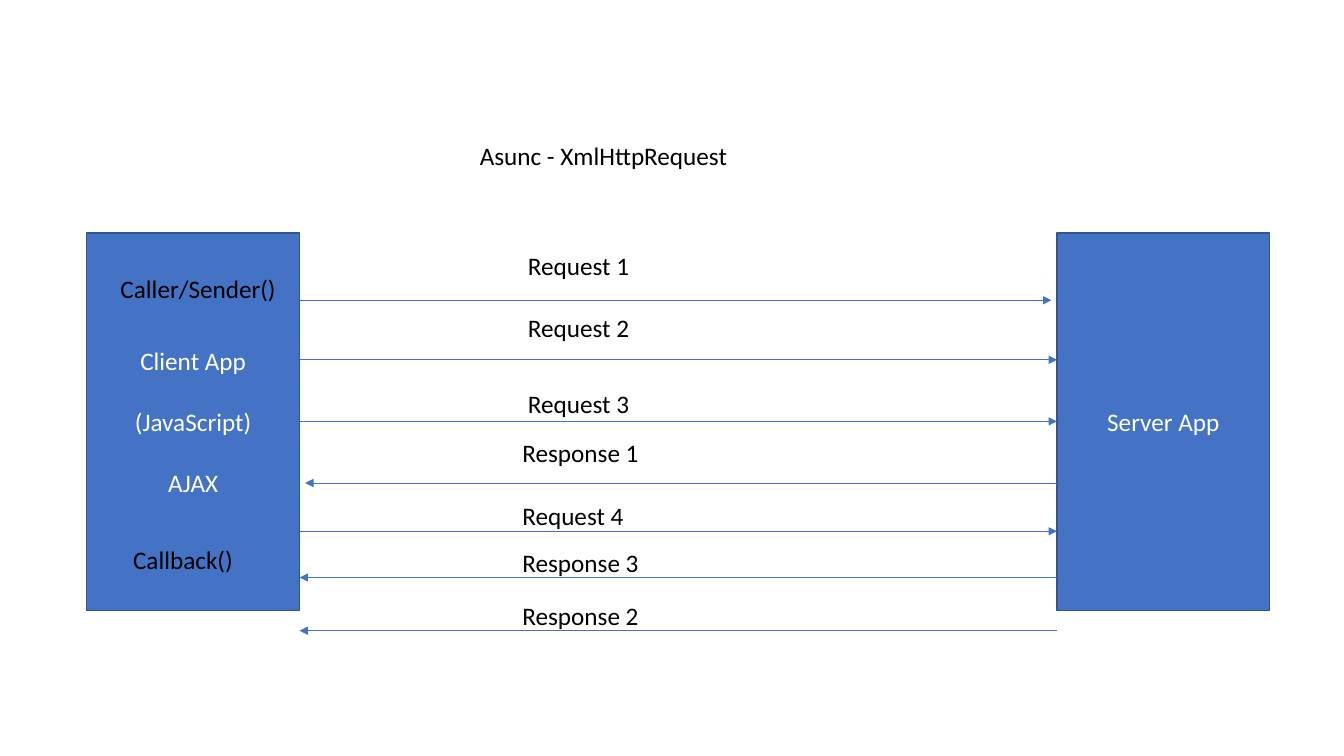
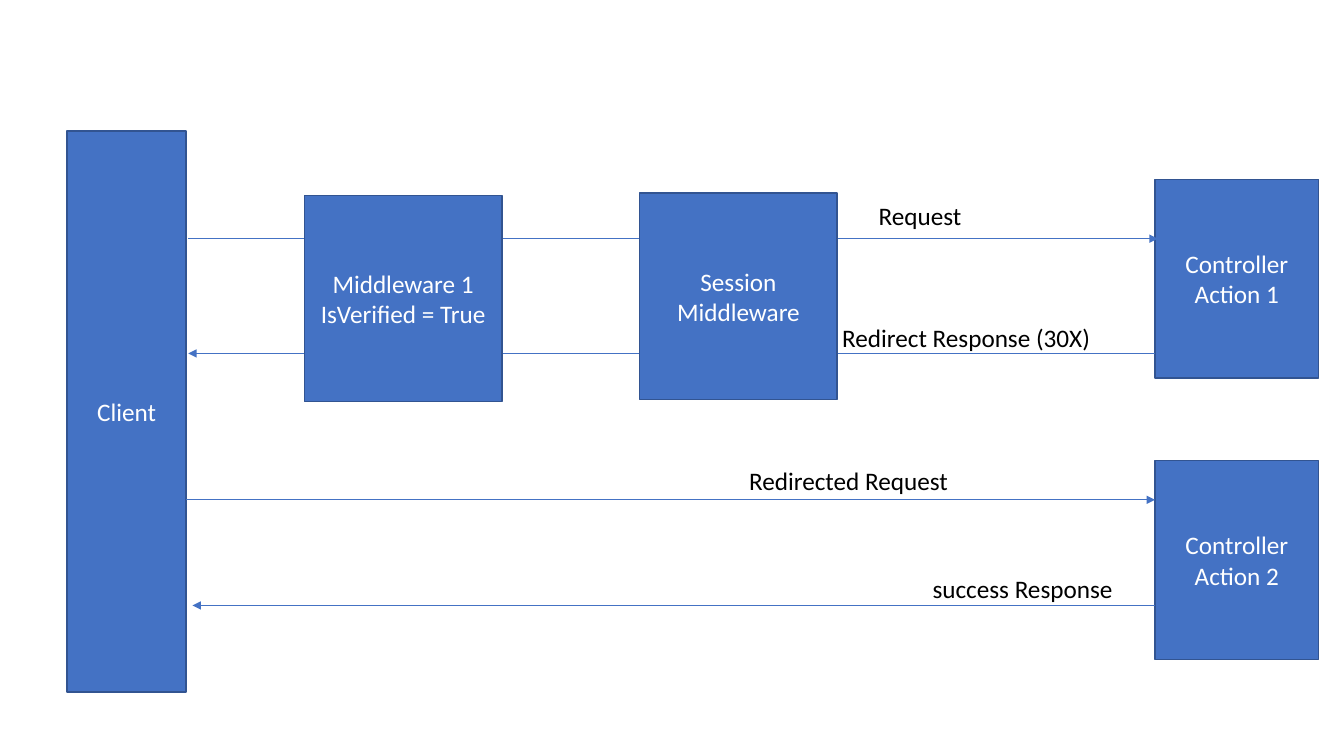
from dataclasses import dataclass

from pptx import Presentation
from pptx.dml.color import RGBColor
from pptx.enum.shapes import MSO_CONNECTOR, MSO_SHAPE
from pptx.enum.text import MSO_ANCHOR, MSO_AUTO_SIZE, PP_ALIGN
from pptx.oxml.ns import qn
from pptx.util import Pt
from lxml.etree import SubElement


@dataclass(frozen=True)
class Theme:
    """Colours, font and sizes shared by both slides."""
    fill: RGBColor = RGBColor(0x44, 0x72, 0xC4)
    edge: RGBColor = RGBColor(0x32, 0x54, 0x91)
    on_fill: RGBColor = RGBColor(0xFF, 0xFF, 0xFF)
    text: RGBColor = RGBColor(0x00, 0x00, 0x00)
    font: str = "Calibri"
    size: float = 18
    edge_width: float = 1
    arrow_width: float = 0.5
    label_height: float = 29


def write(tf, text, theme, color, align=PP_ALIGN.LEFT, anchor=MSO_ANCHOR.TOP,
          gap=0, auto_size=MSO_AUTO_SIZE.NONE):
    """Fill a text frame, one paragraph per line, with a gap between them."""
    tf.word_wrap = True
    tf.auto_size = auto_size
    tf.vertical_anchor = anchor
    for i, line in enumerate(text.split("\n")):
        p = tf.add_paragraph() if i else tf.paragraphs[0]
        p.alignment = align
        p.space_before = Pt(gap if i else 0)
        r = p.add_run()
        r.text = line
        r.font.name = theme.font
        r.font.size = Pt(theme.size)
        r.font.color.rgb = color


class Diagram:
    """Draws message diagrams; all lengths are in points."""

    def __init__(self, prs, theme):
        """Keep the presentation and its style."""
        self.prs, self.theme, self.s = prs, theme, None

    def slide(self, layout):
        """Start a new slide on the named layout."""
        self.s = self.prs.slides.add_slide(self.prs.slide_layouts.get_by_name(layout))

    def title(self, text, x, y, w):
        """Move and fill the title placeholder."""
        sp = self.s.shapes.title
        sp.left, sp.top, sp.width = Pt(x), Pt(y), Pt(w)
        sp.height = Pt(self.theme.label_height)
        write(sp.text_frame, text, self.theme, self.theme.text)

    def box(self, text, x, y, w, h, gap=0):
        """Add a filled rectangle with centred text."""
        t = self.theme
        sp = self.s.shapes.add_shape(MSO_SHAPE.RECTANGLE, Pt(x), Pt(y), Pt(w), Pt(h))
        sp.shadow.inherit = False
        sp.fill.solid()
        sp.fill.fore_color.rgb = t.fill
        sp.line.color.rgb = t.edge
        sp.line.width = Pt(t.edge_width)
        write(sp.text_frame, text, t, t.on_fill, align=PP_ALIGN.CENTER,
              anchor=MSO_ANCHOR.MIDDLE, gap=gap)

    def label(self, text, x, y, w):
        """Add a one-line text box."""
        sp = self.s.shapes.add_textbox(Pt(x), Pt(y), Pt(w), Pt(self.theme.label_height))
        write(sp.text_frame, text, self.theme, self.theme.text,
              auto_size=MSO_AUTO_SIZE.SHAPE_TO_FIT_TEXT)

    def arrow(self, x1, x2, y):
        """Add a horizontal arrow pointing at x2."""
        sp = self.s.shapes.add_connector(MSO_CONNECTOR.STRAIGHT, Pt(x1), Pt(y), Pt(x2), Pt(y))
        sp.line.color.rgb = self.theme.fill
        sp.line.width = Pt(self.theme.arrow_width)
        SubElement(sp.line._get_or_add_ln(), qn("a:tailEnd"), type="triangle")
        SubElement(sp._element.spPr, qn("a:effectLst"))


def async_slide(d):
    """Asynchronous requests between a client and a server."""
    d.slide("Title Only")
    d.title("Asunc - XmlHttpRequest", 335.5, 96.5, 297.5)
    top, width, height = 166.5, 152, 269.5
    client, server = 62, 755
    d.box("Client App\n(JavaScript)\nAJAX", client, top, width, height, gap=22)
    d.box("Server App", server, top, width, height)
    d.label("Caller/Sender()", 79, 192, 141)
    d.label("Callback()", 88, 385, 141)
    edge = client + width
    messages = [
        # text, label x, label y, arrow start, arrow end, arrow y
        ("Request 1", 370, 175, edge, server - 4, 214.5),
        ("Request 2", 370, 219.5, edge, server, 257),
        ("Request 3", 370, 273.5, edge, server, 301),
        ("Response 1", 366, 309, server, edge + 4, 345),
        ("Request 4", 366, 353.5, edge, server, 379.5),
        ("Response 3", 366, 387.5, server, edge, 412.5),
        ("Response 2", 366, 425.5, server, edge, 450.5),
    ]
    for text, x, label_y, start, end, y in messages:
        d.arrow(start, end, y)
        d.label(text, x, label_y, 186.5)


def redirect_slide(d):
    """A redirect that passes through middleware to a second action."""
    d.slide("Blank")
    d.box("Client", 48, 93.5, 85, 401)
    controller = 825
    for number, y in ((1, 128), (2, 329)):
        d.box(f"Controller Action {number}", controller, y, 117, 142)
    messages = [
        # text, label x, label y, label width, arrow start, arrow end, arrow y
        ("Request", 620.5, 139.5, 147.5, 134.5, controller + 2, 170.5),
        ("Redirect Response (30X)", 594.5, 227, 209, controller, 134.5, 252.5),
        ("Redirected Request", 528, 328.5, 222.5, 133, controller, 357),
        ("success Response", 659, 406, 147.5, controller, 137.5, 432.5),
    ]
    for text, x, label_y, w, start, end, y in messages:
        d.arrow(start, end, y)
        d.label(text, x, label_y, w)
    d.box("Middleware 1\nIsVerified = True", 217.5, 139.5, 141, 147.5)
    d.box("Session Middleware", 457, 138, 141, 147.5)


def main():
    """Build and save the presentation."""
    prs = Presentation()
    prs.slide_width, prs.slide_height = Pt(960), Pt(540)
    d = Diagram(prs, Theme())
    async_slide(d)
    redirect_slide(d)
    prs.save("out.pptx")


main()
